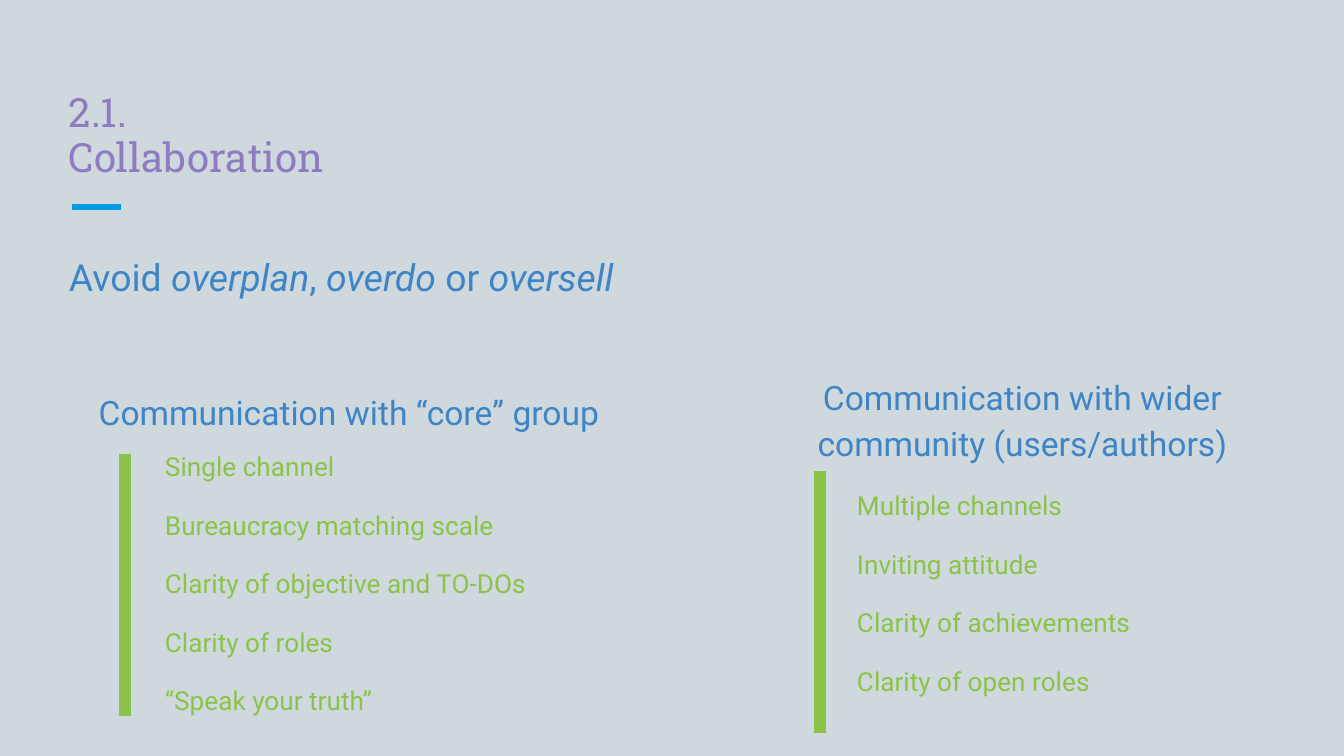
from dataclasses import dataclass

from lxml.etree import SubElement
from pptx import Presentation
from pptx.dml.color import RGBColor
from pptx.enum.shapes import MSO_CONNECTOR
from pptx.enum.text import MSO_ANCHOR, PP_ALIGN
from pptx.oxml.ns import qn
from pptx.slide import Slide
from pptx.util import Emu, Pt

EMU_PER_PX = 914400 / 134.4
SLIDE_WIDTH, SLIDE_HEIGHT = 1344, 756
INSET = 13

BACKGROUND = RGBColor(0xCF, 0xD8, 0xDC)
PURPLE = RGBColor(0x8E, 0x7C, 0xC3)
BLUE = RGBColor(0x3D, 0x85, 0xC6)
GREEN = RGBColor(0x8B, 0xC3, 0x4A)
ACCENT = RGBColor(0x03, 0x9B, 0xE5)


@dataclass(frozen=True)
class Box:
    left: int
    top: int
    width: int
    height: int


@dataclass(frozen=True)
class Group:
    heading: str
    heading_box: Box
    points: list[str]
    points_box: Box
    bar_x: int
    bar_top: int


GROUPS = [
    Group(
        "Communication with “core” group",
        Box(56, 373, 586, 72),
        [
            "Single channel",
            "Bureaucracy matching scale",
            "Clarity of objective and TO-DOs",
            "Clarity of roles",
            "“Speak your truth”",
        ],
        Box(152, 433, 396, 322),
        125,
        454,
    ),
    Group(
        "Communication with wider community (users/authors)",
        Box(737, 358, 571, 117),
        [
            "Multiple channels",
            "Inviting attitude",
            "Clarity of achievements",
            "Clarity of open roles",
        ],
        Box(844, 472, 396, 262),
        820,
        471,
    ),
]
BAR_HEIGHT = 262


def px(length: int) -> Emu:
    return Emu(round(length * EMU_PER_PX))


def add_text(
    slide: Slide,
    text: str,
    box: Box,
    *,
    size: float,
    color: RGBColor,
    font: str = "Roboto",
    align: PP_ALIGN = PP_ALIGN.LEFT,
    anchor: MSO_ANCHOR = MSO_ANCHOR.TOP,
    line_spacing: float = 1.15,
    gap: int = 0,
) -> None:
    """Add a text box; words between asterisks are set in italics."""
    shape = slide.shapes.add_textbox(
        px(box.left), px(box.top), px(box.width), px(box.height)
    )
    frame = shape.text_frame
    frame.word_wrap = True
    frame.vertical_anchor = anchor
    frame.margin_left = frame.margin_right = px(INSET)
    frame.margin_top = frame.margin_bottom = px(INSET)
    for index, line in enumerate(text.split("\n")):
        paragraph = frame.add_paragraph() if index else frame.paragraphs[0]
        paragraph.alignment = align
        paragraph.line_spacing = line_spacing
        paragraph.space_before = Pt(gap if index else 0)
        for part, words in enumerate(line.split("*")):
            if not words:
                continue
            run = paragraph.add_run()
            run.text = words
            run.font.name = font
            run.font.size = Pt(size)
            run.font.italic = part % 2 == 1
            run.font.color.rgb = color


def add_line(
    slide: Slide,
    start: tuple[int, int],
    end: tuple[int, int],
    color: RGBColor,
    weight: int,
) -> None:
    connector = slide.shapes.add_connector(
        MSO_CONNECTOR.STRAIGHT, px(start[0]), px(start[1]), px(end[0]), px(end[1])
    )
    connector.line.color.rgb = color
    connector.line.width = Pt(weight)
    SubElement(connector._element.spPr, qn("a:effectLst"))


def add_group(slide: Slide, group: Group) -> None:
    add_text(slide, group.heading, group.heading_box, size=18, color=BLUE,
             align=PP_ALIGN.CENTER)
    add_text(slide, "\n".join(group.points), group.points_box, size=14,
             color=GREEN, gap=12)
    add_line(slide, (group.bar_x, group.bar_top),
             (group.bar_x, group.bar_top + BAR_HEIGHT), GREEN, 6)


def main() -> None:
    presentation = Presentation()
    presentation.slide_width = px(SLIDE_WIDTH)
    presentation.slide_height = px(SLIDE_HEIGHT)
    slide = presentation.slides.add_slide(presentation.slide_layouts[6])
    slide.background.fill.solid()
    slide.background.fill.fore_color.rgb = BACKGROUND

    add_line(slide, (72, 207), (121, 207), ACCENT, 3)
    add_text(slide, "2.1.\nCollaboration", Box(56, 82, 413, 112), size=21.6,
             color=PURPLE, font="Roboto Slab", anchor=MSO_ANCHOR.BOTTOM,
             line_spacing=0.92)
    add_text(slide, "Avoid *overplan*, *overdo* or *oversell*",
             Box(56, 234, 586, 80), size=20, color=BLUE)
    for group in GROUPS:
        add_group(slide, group)

    presentation.save("out.pptx")


if __name__ == "__main__":
    main()
